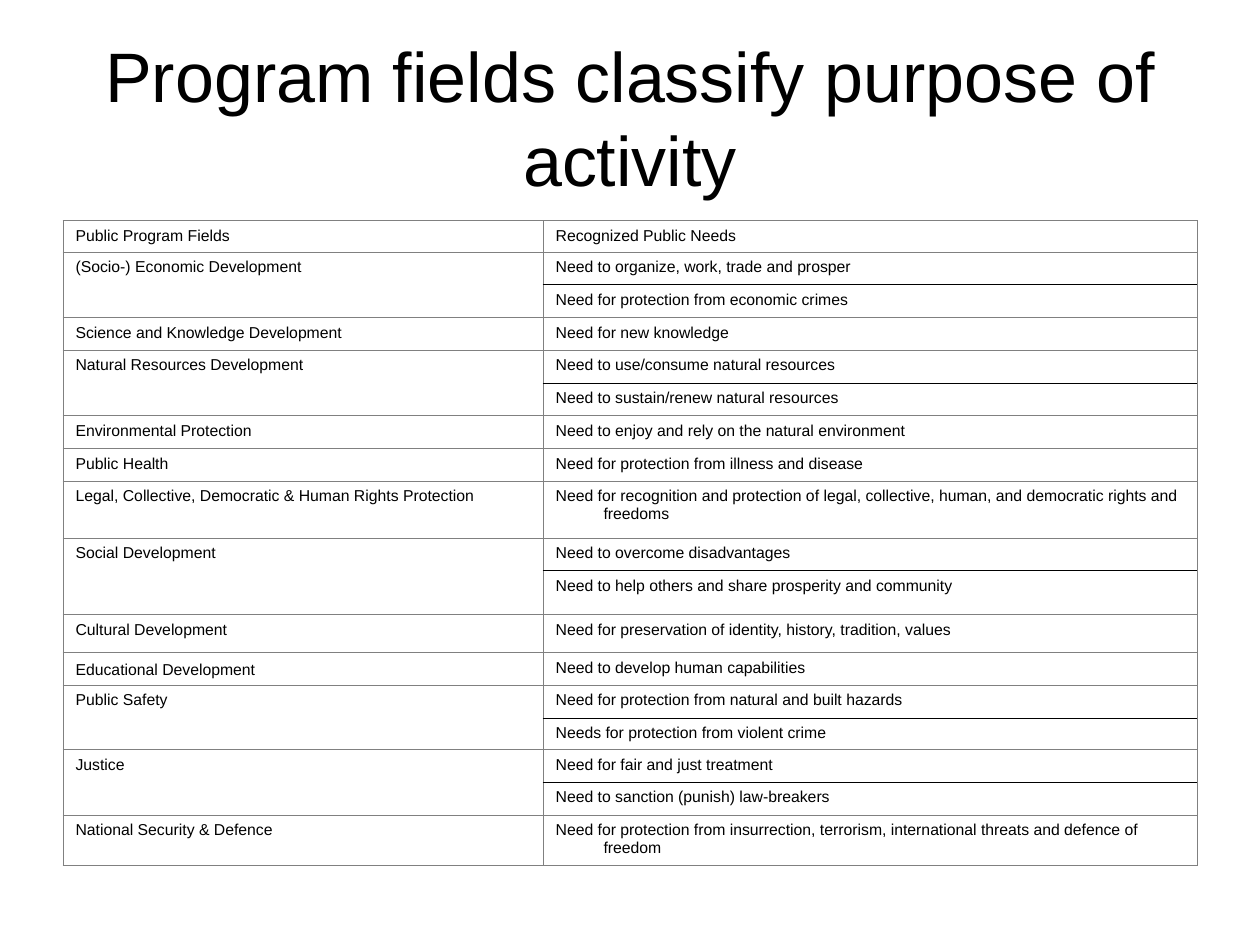
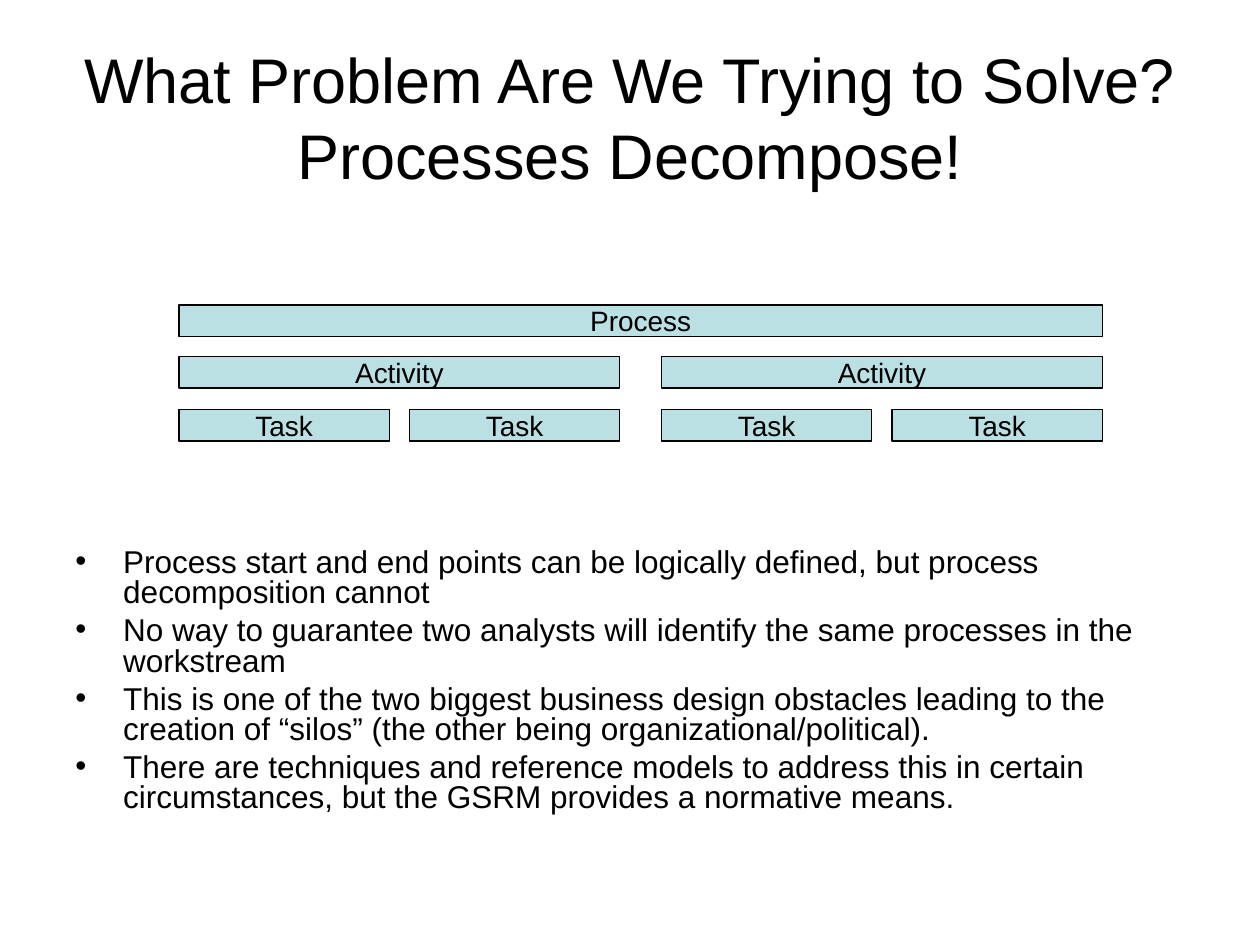
import pptx
import pptx.dml.color
import pptx.enum.shapes
import pptx.enum.text
import pptx.oxml
import pptx.oxml.ns
import pptx.util
from lxml import etree

Inches = pptx.util.Inches
Pt = pptx.util.Pt
RGBColor = pptx.dml.color.RGBColor
Anchor = pptx.enum.text.MSO_ANCHOR
Align = pptx.enum.text.PP_ALIGN
qn = pptx.oxml.ns.qn

BLACK = RGBColor(0x00, 0x00, 0x00)
GRID_GRAY = RGBColor(0x80, 0x80, 0x80)
BAR_TEAL = RGBColor(0xBB, 0xE0, 0xE3)
FONT = "Arial"
HANGING = Inches(0.38)
TITLE_ONLY = 5

# Each program field with the public needs it answers
PROGRAM_FIELDS = [
    ("Public Program Fields", ["Recognized Public Needs"]),
    ("(Socio-) Economic Development",
     ["Need to organize, work, trade and prosper",
      "Need for protection from economic crimes"]),
    ("Science and Knowledge Development", ["Need for new knowledge"]),
    ("Natural Resources Development",
     ["Need to use/consume natural resources",
      "Need to sustain/renew natural resources"]),
    ("Environmental Protection",
     ["Need to enjoy and rely on the natural environment"]),
    ("Public Health", ["Need for protection from illness and disease"]),
    ("Legal, Collective, Democratic & Human Rights Protection",
     ["Need for recognition and protection of legal, collective, human, "
      "and democratic rights and freedoms"]),
    ("Social Development",
     ["Need to overcome disadvantages",
      "Need to help others and share prosperity and community"]),
    ("Cultural Development",
     ["Need for preservation of identity, history, tradition, values"]),
    ("Educational Development", ["Need to develop human capabilities"]),
    ("Public Safety",
     ["Need for protection from natural and built hazards",
      "Needs for protection from violent crime"]),
    ("Justice",
     ["Need for fair and just treatment",
      "Need to sanction (punish) law-breakers"]),
    ("National Security & Defence",
     ["Need for protection from insurrection, terrorism, international "
      "threats and defence of freedom"]),
]
ROW_HEIGHT = 0.26
SPECIAL_ROW_HEIGHTS = {0: 0.25, 8: 0.45, 10: 0.35, 11: 0.3, 14: 0.25, 17: 0.4}

# Label, top, and gap between the two parts one level down
PROCESS_LEVELS = [("Process", 2.42, 0.33), ("Activity", 2.83, 0.16), ("Task", 3.25, 0)]

DECOMPOSITION_POINTS = [
    "Process start and end points can be logically defined, but process "
    "decomposition cannot",
    "No way to guarantee two analysts will identify the same processes in the "
    "workstream",
    "This is one of the two biggest business design obstacles leading to the "
    "creation of “silos” (the other being organizational/political).",
    "There are techniques and reference models to address this in certain "
    "circumstances, but the GSRM provides a normative means.",
]


def set_font(paragraph, size):
    paragraph.font.name = FONT
    paragraph.font.size = Pt(size)
    paragraph.font.color.rgb = BLACK


def hang_indent(paragraph):
    properties = paragraph._p.get_or_add_pPr()
    properties.set("marL", str(HANGING))
    properties.set("indent", str(-HANGING))
    return properties


def add_titled_slide(deck, lines, left, width, size):
    slide = deck.slides.add_slide(deck.slide_layouts[TITLE_ONLY])
    title = slide.shapes.title
    title.left, title.top = Inches(left), Inches(0.3)
    title.width, title.height = Inches(width), Inches(1.25)
    frame = title.text_frame
    frame.auto_size = pptx.enum.text.MSO_AUTO_SIZE.NONE
    frame.vertical_anchor = Anchor.MIDDLE
    heading = frame.paragraphs[0]
    heading.alignment = Align.CENTER
    for index, line in enumerate(lines):
        if index:
            heading.add_line_break()
        heading.add_run().text = line
    set_font(heading, size)
    return slide


def set_border(cell, side, color, width):
    """Draw one side (L, R, T or B) of a cell."""
    line = etree.SubElement(cell._tc.get_or_add_tcPr(), qn(f"a:ln{side}"),
                            w=str(Pt(width)))
    fill = etree.SubElement(line, qn("a:solidFill"))
    etree.SubElement(fill, qn("a:srgbClr"), val=str(color))


def format_cell(cell, text="", inner_sides=""):
    """Fill in a cell; inner sides get the thin black rule."""
    for side in "LRTB":
        if side in inner_sides:
            set_border(cell, side, BLACK, 0.34)
        else:
            set_border(cell, side, GRID_GRAY, 0.45)
    cell.fill.background()
    cell.text = text
    paragraph = cell.text_frame.paragraphs[0]
    hang_indent(paragraph)
    set_font(paragraph, 9)


def add_fields_table(slide):
    row_count = sum(len(needs) for _, needs in PROGRAM_FIELDS)
    table = slide.shapes.add_table(row_count, 2, Inches(0.5), Inches(1.75),
                                   Inches(9), Inches(5.07)).table
    table.first_row = table.horz_banding = False
    table.columns[0].width, table.columns[1].width = Inches(3.81), Inches(5.19)
    for index, row in enumerate(table.rows):
        row.height = Inches(SPECIAL_ROW_HEIGHTS.get(index, ROW_HEIGHT))

    first = 0
    for field, needs in PROGRAM_FIELDS:
        last = first + len(needs) - 1
        for row, need in enumerate(needs, first):
            format_cell(table.cell(row, 0), field if row == first else "")
            inner_sides = ("T" if row > first else "") + ("B" if row < last else "")
            format_cell(table.cell(row, 1), need, inner_sides)
        field_cell = table.cell(first, 0)
        if last > first:
            field_cell.merge(table.cell(last, 0))
        if field == "Educational Development":
            field_cell.vertical_anchor = Anchor.BOTTOM
        first = last + 1


def add_bar(slide, label, left, top, width):
    bar = slide.shapes.add_shape(pptx.enum.shapes.MSO_SHAPE.RECTANGLE, Inches(left),
                                 Inches(top), Inches(width), Inches(0.25))
    bar.shadow.inherit = False
    bar.fill.solid()
    bar.fill.fore_color.rgb = BAR_TEAL
    bar.line.color.rgb = BLACK
    bar.line.width = Pt(0.75)
    frame = bar.text_frame
    frame.word_wrap = False
    frame.vertical_anchor = Anchor.MIDDLE
    frame.text = label
    frame.paragraphs[0].alignment = Align.CENTER
    set_font(frame.paragraphs[0], 16)


def add_decomposition(slide, levels, left, width):
    """Draw a bar, then split its width into two parts on the next level."""
    (label, top, gap), *lower_levels = levels
    add_bar(slide, label, left, top, width)
    if lower_levels:
        part = (width - gap) / 2
        for part_left in (left, left + part + gap):
            add_decomposition(slide, lower_levels, part_left, part)


def add_bullets(slide, points):
    frame = slide.shapes.add_textbox(Inches(0.5), Inches(4.31),
                                     Inches(9), Inches(2.39)).text_frame
    frame.word_wrap = True
    for index, point in enumerate(points):
        paragraph = frame.add_paragraph() if index else frame.paragraphs[0]
        paragraph.text = point
        paragraph.line_spacing = 0.8
        if index:
            paragraph.space_before = Pt(4.5)
        properties = hang_indent(paragraph)
        etree.SubElement(properties, qn("a:buFont"), typeface=FONT)
        etree.SubElement(properties, qn("a:buChar"), char="•")
        set_font(paragraph, 18)


def main():
    deck = pptx.Presentation()
    deck.slide_width, deck.slide_height = Inches(10), Inches(7.5)

    fields = add_titled_slide(deck, ["Program fields classify purpose of activity"],
                              0.5, 9, 40)
    add_fields_table(fields)

    problem = add_titled_slide(
        deck, ["What Problem Are We Trying to Solve?", "Processes Decompose!"],
        0.25, 9.5, 36)
    add_bullets(problem, DECOMPOSITION_POINTS)
    add_decomposition(problem, PROCESS_LEVELS, 1.42, 7.33)

    deck.save("out.pptx")


if __name__ == "__main__":
    main()
